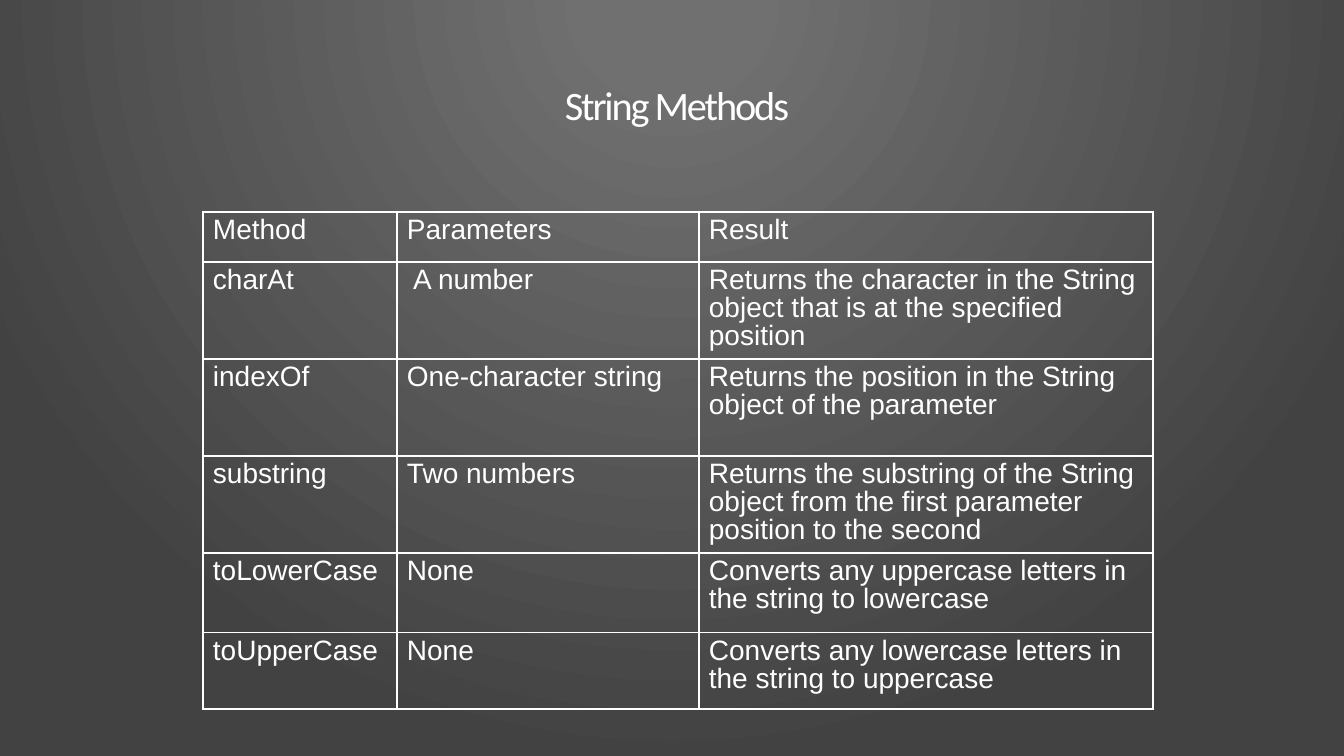
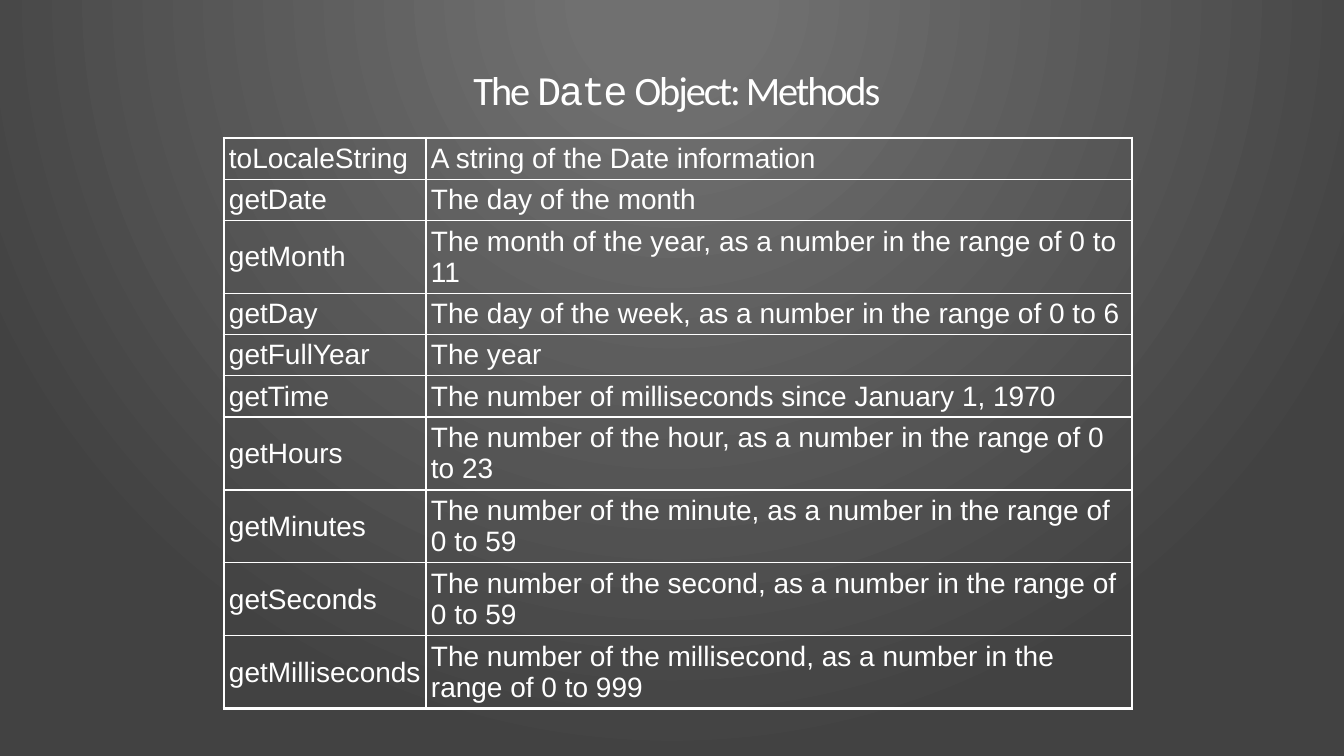
from lxml import etree
from pptx import Presentation
from pptx.dml.color import RGBColor
from pptx.enum.text import MSO_ANCHOR, MSO_AUTO_SIZE, PP_ALIGN
from pptx.oxml.ns import qn
from pptx.util import Emu, Pt

CENTER = PP_ALIGN.CENTER
TOP = MSO_ANCHOR.TOP
MIDDLE = MSO_ANCHOR.MIDDLE
NO_FIT = MSO_AUTO_SIZE.NONE

EMU_PER_PX = 914400 / 100.8
COLORS = {"text": "FFFFFF", "glow": "707070", "edge": "424242"}
HEADING, BODY, CODE = "Calibri", "Arial", "Courier New"
OUTER, INNER = 2.25, 1

STRING_METHODS = [
    ("Method", "Parameters", "Result"),
    ("charAt", " A number", "Returns the character in the String object that is at the specified position"),
    ("indexOf", "One-character string", "Returns the position in the String object of the parameter"),
    ("substring", "Two numbers",
     "Returns the substring of the String object from the first parameter position to the second"),
    ("toLowerCase", "None", "Converts any uppercase letters in the string to lowercase"),
    ("toUpperCase", "None", "Converts any lowercase letters in the string to uppercase"),
]
DATE_METHODS = [
    ("toLocaleString", "A string of the Date information"),
    ("getDate", "The day of the month"),
    ("getMonth", "The month of the year, as a number in the range of 0 to 11"),
    ("getDay", "The day of the week, as a number in the range of 0 to 6"),
    ("getFullYear", "The year"),
    ("getTime", "The number of milliseconds since January 1, 1970"),
    ("getHours", "The number of the hour, as a number in the range of 0 to 23"),
    ("getMinutes", "The number of the minute, as a number in the range of 0 to 59"),
    ("getSeconds", "The number of the second, as a number in the range of 0 to 59"),
    ("getMilliseconds", "The number of the millisecond, as a number in the range of 0 to 999"),
]
ONE_LINE, TWO_LINES = 41, 73
DATE_ROWS = [ONE_LINE] * 2 + [TWO_LINES] + [ONE_LINE] * 3 + [TWO_LINES] * 4


def px(length):
    return Emu(round(length * EMU_PER_PX))


def add_element(parent, tag, **attributes):
    return etree.SubElement(parent, qn(tag), attributes)


class SlideBuilder:
    def __init__(self):
        self.deck = Presentation()
        self.deck.slide_width = px(1344)
        self.deck.slide_height = px(756)
        self.page = None
        self.set_background()

    def set_background(self):
        master = self.deck.slide_master
        master.background.fill.solid()
        properties = master.element.find(".//" + qn("p:bgPr"))
        properties.remove(properties.find(qn("a:solidFill")))
        gradient = add_element(properties, "a:gradFill", rotWithShape="1")
        properties.insert(0, gradient)
        stops = add_element(gradient, "a:gsLst")
        for position, color in (("10000", "glow"), ("100000", "edge")):
            stop = add_element(stops, "a:gs", pos=position)
            add_element(stop, "a:srgbClr", val=COLORS[color])
        circle = add_element(gradient, "a:path", path="circle")
        add_element(circle, "a:fillToRect", l="50000", t="15000", r="50000", b="169000")

    def add_page(self):
        self.page = self.deck.slides.add_slide(self.deck.slide_layouts[5])

    def style(self, para, size, name=None):
        para.font.size = Pt(size)
        para.font.color.rgb = RGBColor.from_string(COLORS["text"])
        if name:
            para.font.name = name

    def title(self, top, *parts):
        box = self.page.shapes.title
        box.left, box.top, box.width, box.height = px(44), px(top), px(1266), px(59)
        frame = box.text_frame
        frame.auto_size = NO_FIT
        frame.word_wrap = True
        frame.vertical_anchor = MIDDLE
        frame.margin_left = frame.margin_top = frame.margin_right = frame.margin_bottom = px(25)
        para = frame.paragraphs[0]
        para.alignment = CENTER
        para.line_spacing = 0.85
        self.style(para, 28.8)
        for text, name in parts:
            span = para.add_run()
            span.text = text
            span.font.name = name
            span._r.get_or_add_rPr().set("spc", "-150")

    def border(self, cell, side, width):
        properties = cell._tc.get_or_add_tcPr()
        line = add_element(properties, "a:ln" + side, w=str(Pt(width)))
        fill = add_element(line, "a:solidFill")
        add_element(fill, "a:srgbClr", val=COLORS["text"])

    def table(self, left, top, columns, rows, content, margins, anchor=TOP, line_spacing=None):
        frame = self.page.shapes.add_table(
            len(rows), len(columns), px(left), px(top), px(sum(columns)), px(sum(rows)))
        grid = frame.table
        grid.first_row = grid.horz_banding = False
        for column, width in zip(grid.columns, columns):
            column.width = px(width)
        for row, height in zip(grid.rows, rows):
            row.height = px(height)
        for row_index, texts in enumerate(content):
            for column_index, text in enumerate(texts):
                cell = grid.cell(row_index, column_index)
                cell.vertical_anchor = anchor
                cell.margin_left, cell.margin_top, cell.margin_right, cell.margin_bottom = map(px, margins)
                edges = {
                    "L": column_index == 0,
                    "R": column_index == len(columns) - 1,
                    "T": row_index == 0,
                    "B": row_index == len(rows) - 1,
                }
                for side, is_outer in edges.items():
                    self.border(cell, side, OUTER if is_outer else INNER)
                cell.fill.background()
                cell.text = text
                para = cell.text_frame.paragraphs[0]
                if line_spacing:
                    para.line_spacing = line_spacing
                self.style(para, 20, BODY)


def main():
    builder = SlideBuilder()

    builder.add_page()
    builder.title(79, ("String Methods", HEADING))
    builder.table(203, 212, [194, 302, 454], [50, 97, 97, 97, 80, 76], STRING_METHODS,
                  margins=(10, 5, 10, 5), line_spacing=0.9)

    builder.add_page()
    builder.title(64, ("The ", HEADING), ("Date", CODE), (" Object: Methods", HEADING))
    builder.table(224, 138, [202, 706], DATE_ROWS, DATE_METHODS,
                  margins=(5, 5, 0, 5), anchor=MIDDLE)

    builder.deck.save("out.pptx")


if __name__ == "__main__":
    main()
